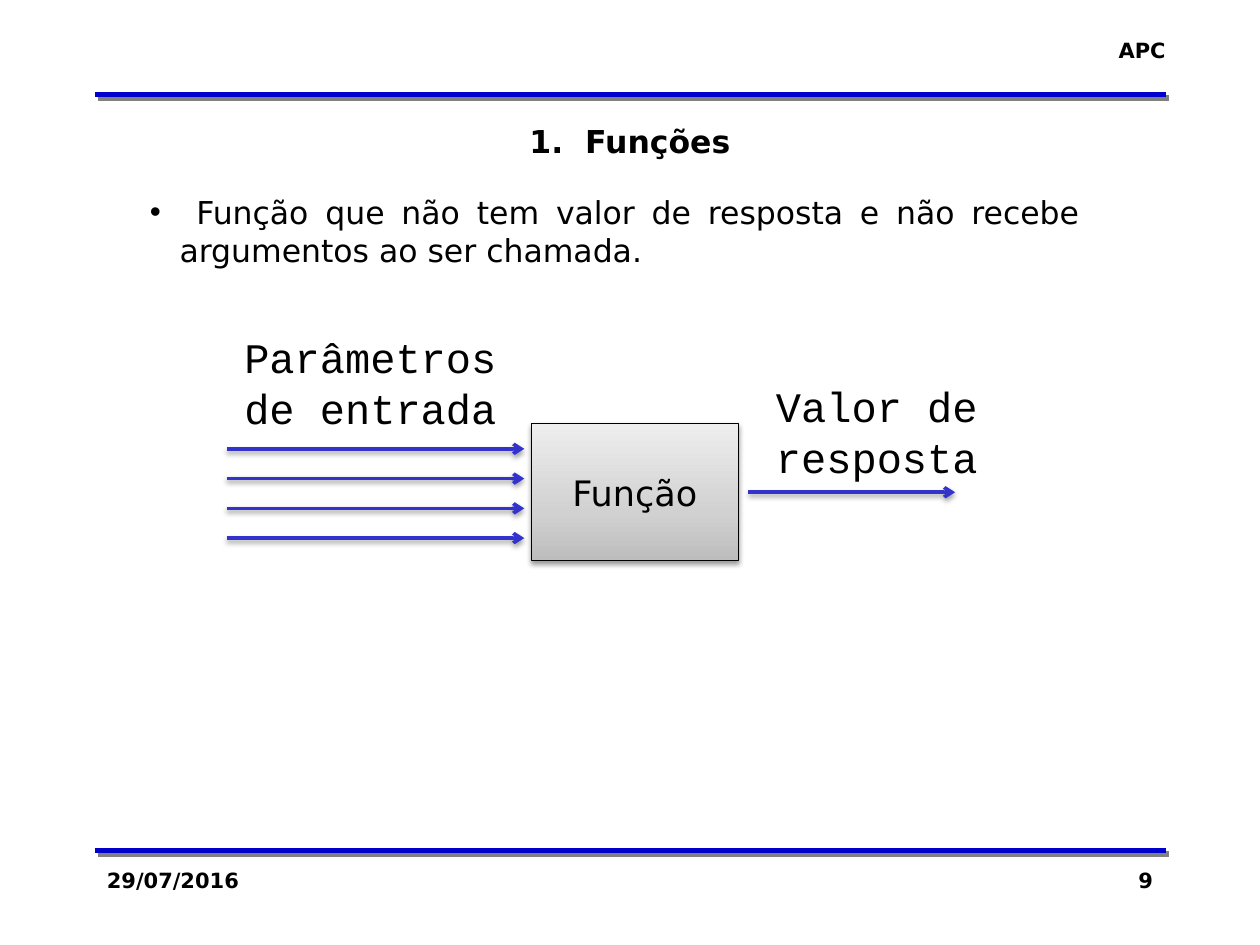
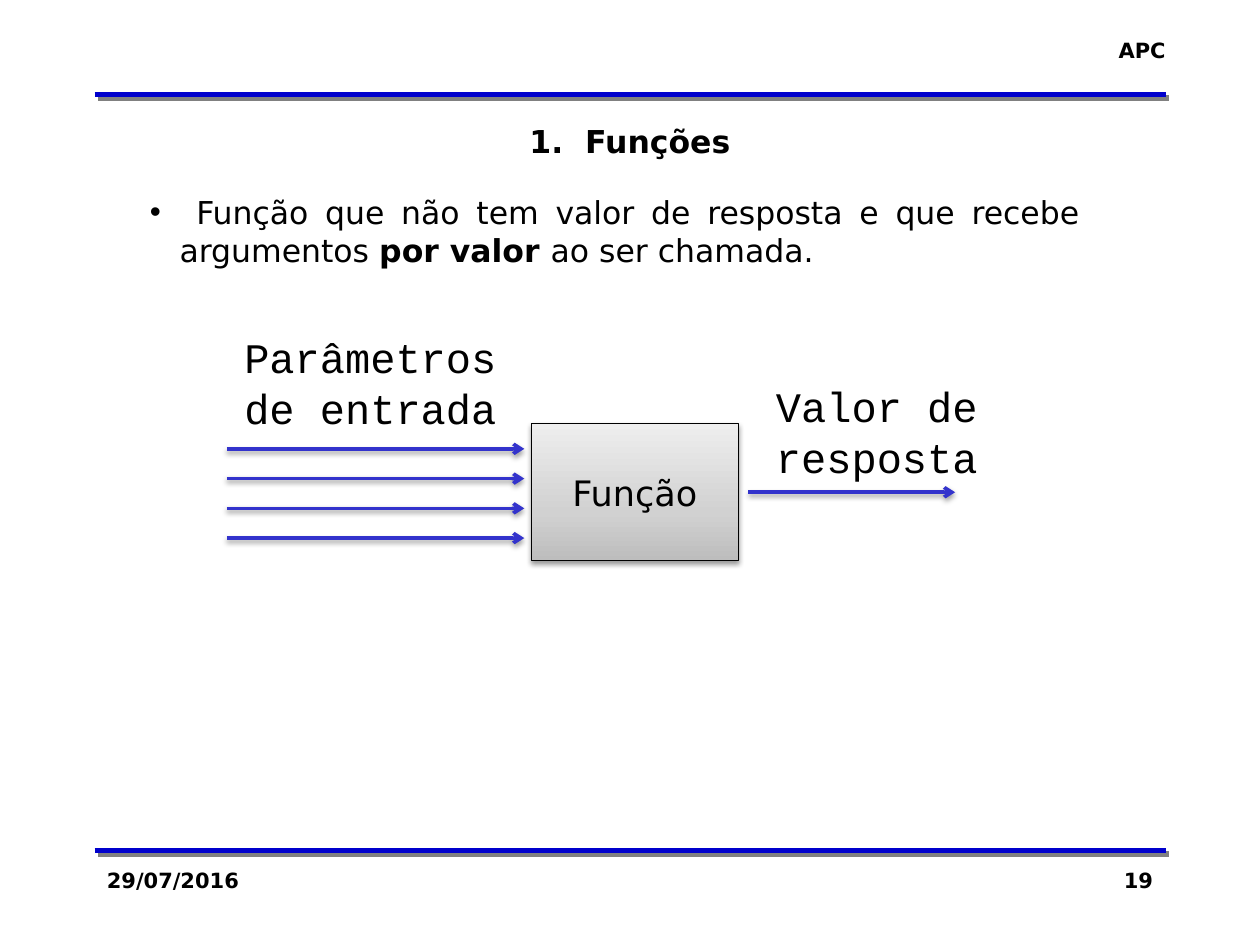
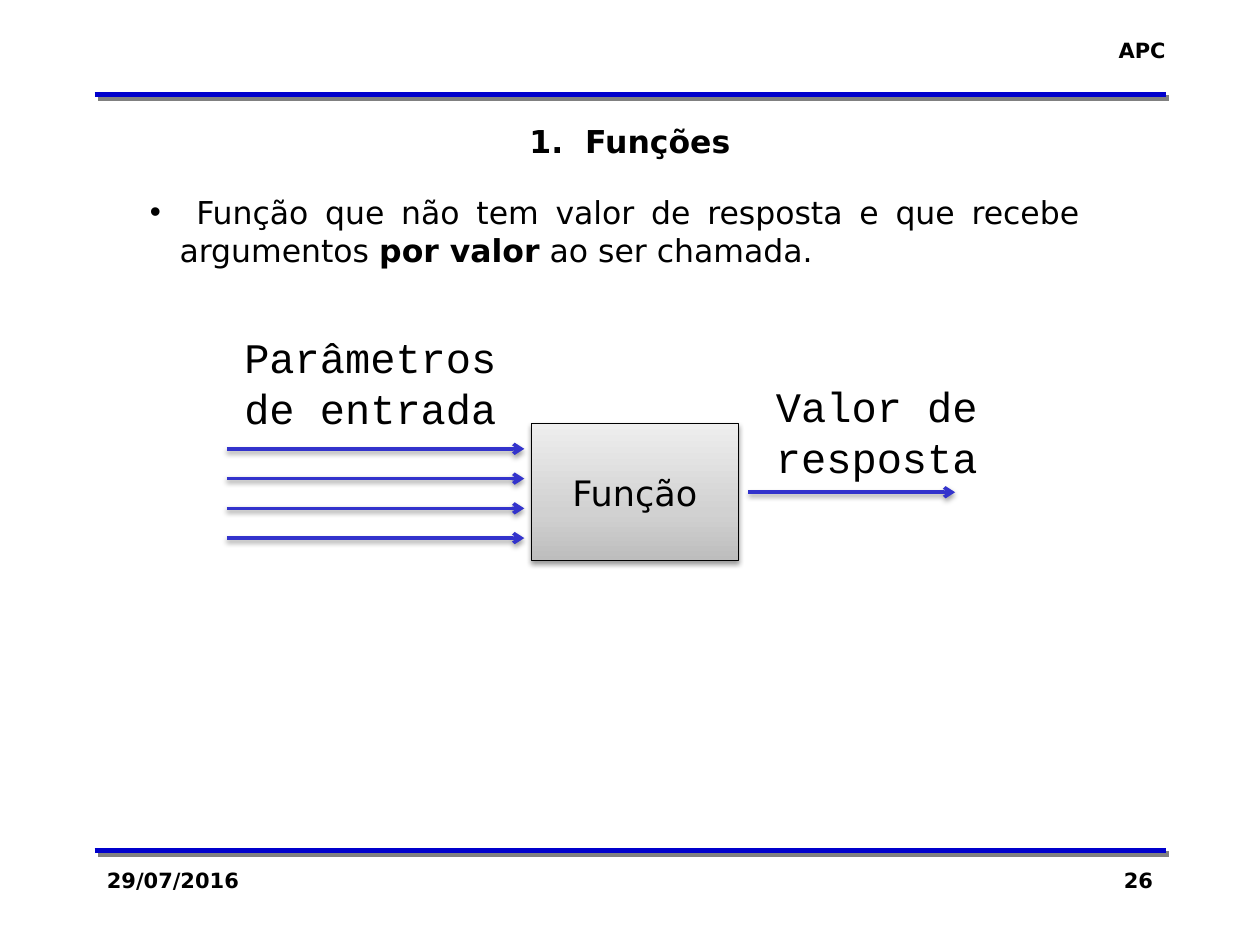
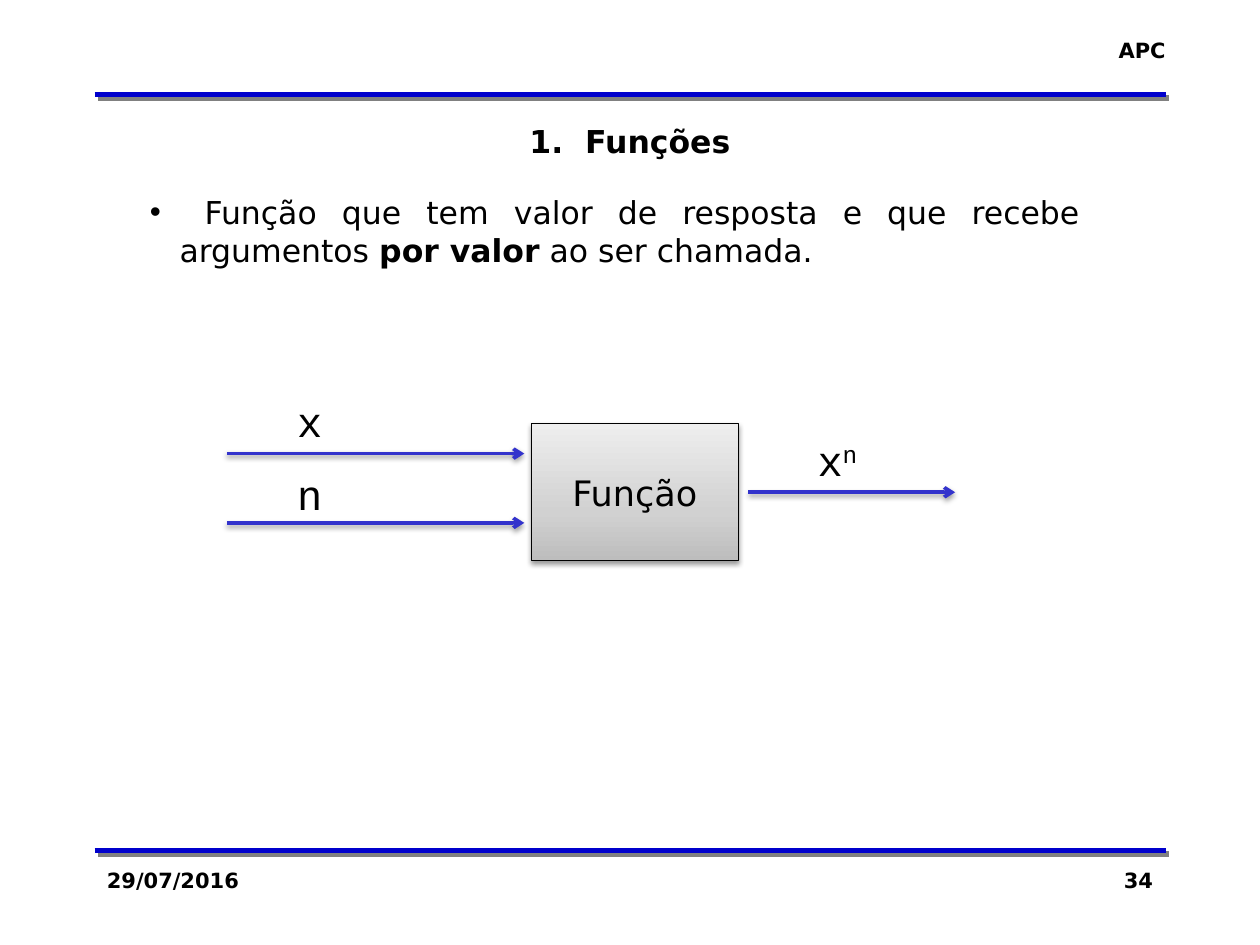
from lxml import etree
from copy import deepcopy
from pptx import Presentation
from pptx.dml.color import RGBColor
from pptx.enum.shapes import MSO_CONNECTOR, MSO_SHAPE
from pptx.enum.text import MSO_ANCHOR, MSO_AUTO_SIZE, PP_ALIGN
from pptx.oxml.ns import qn
from pptx.util import Pt

STRAIGHT = MSO_CONNECTOR.STRAIGHT
RECTANGLE = MSO_SHAPE.RECTANGLE
TOP, MIDDLE = MSO_ANCHOR.TOP, MSO_ANCHOR.MIDDLE
GROW, FIXED = MSO_AUTO_SIZE.SHAPE_TO_FIT_TEXT, MSO_AUTO_SIZE.NONE
LEFT, CENTER, RIGHT, JUSTIFY = (
    PP_ALIGN.LEFT, PP_ALIGN.CENTER, PP_ALIGN.RIGHT, PP_ALIGN.JUSTIFY)

BLACK, RULE_BLUE, ARROW_BLUE = "000000", "0000CC", "3333CC"
BOX_GRADIENT = [(0, "BDBDBD"), (0.35, "D1D1D1"), (1, "EEEEEE")]

# Shadows: colour, opacity in percent, blur, distance, direction in degrees
RULE_SHADOW = ("808080", 100, 0, 2.8, 45)
DIAGRAM_SHADOW = (BLACK, 38, 3.1, 1.6, 90)

# Text formats
SMALL = {"name": "DejaVu Sans", "size": Pt(12), "bold": True}
TITLE = {"name": "DejaVu Sans", "size": Pt(18), "bold": True}
BODY = {"name": "DejaVu Sans", "size": Pt(18), "bold": False}
BOX = {"name": "DejaVu Sans", "size": Pt(20), "bold": False}
LABEL = {"name": "Courier New", "size": Pt(24), "bold": False}

# Areas: left, top, width, height
SLIDE = (0, 0, 720, 540)
RULE_LEFT, RULE_RIGHT = 54, 666
DIAGRAM = (129.6, 186, 452, 134.5)
DEFINITION = (78.5, 106.6, 545.8, 94.3)

FOUR_ARROWS = [70.5 + 17 * row for row in range(4)]
TWO_ARROWS = [73.2, 112.8]

# Labels: place within the diagram, paragraphs of (text, raised) runs
NAMED_LABELS = [
    ((2.9, 0, 159.8, 65.4), [[("Parâmetros", False)], [("de entrada", False)]]),
    ((306.7, 28, 145.4, 65.4), [[("Valor de", False)], [("resposta", False)]]),
]
POWER_LABELS = [
    ((33.1, 36.5, 28.8, 36.4), [[("x", False)]]),
    ((33.1, 78.2, 28.8, 36.4), [[("n", False)]]),
    ((330.5, 58.8, 38.9, 36.4), [[("x", False), ("n", True)]]),
]

# Slides: number, definition as (text, bold) runs, input arrows, labels
BY_VALUE = [("por valor", True), (" ao ser chamada.", False)]
NO_RESULT = " Função que não tem valor de resposta e que recebe argumentos "
PAGES = [
    (9, [(" Função que não tem valor de resposta e não recebe argumentos "
          "ao ser chamada.", False)], FOUR_ARROWS, NAMED_LABELS),
    (19, [(NO_RESULT, False), ("por valor ", True), ("ao ser chamada.", False)],
     FOUR_ARROWS, NAMED_LABELS),
    (26, [(NO_RESULT, False)] + BY_VALUE, FOUR_ARROWS, NAMED_LABELS),
    (34, [(" Função que tem valor de resposta e que recebe argumentos ", False)]
     + BY_VALUE, TWO_ARROWS, POWER_LABELS),
]


def rgb(value):
    return RGBColor.from_string(value)


def points(*lengths):
    return [Pt(length) for length in lengths]


def inside(area, place):
    """Move a place from coordinates within an area to the slide."""
    return (area[0] + place[0], area[1] + place[1], *place[2:])


def set_font(font, style):
    for attribute, value in style.items():
        setattr(font, attribute, value)
    font.color.rgb = rgb(BLACK)


def add_run(paragraph, text, style):
    run = paragraph.add_run()
    run.text = text
    set_font(run.font, style)
    return run


def set_frame(frame, **settings):
    for attribute, value in settings.items():
        setattr(frame, attribute, value)


def add_text(slide, place, text, style, align=LEFT, wrap=True, fit=FIXED):
    frame = slide.shapes.add_textbox(*points(*place)).text_frame
    set_frame(frame, word_wrap=wrap, auto_size=fit, vertical_anchor=TOP)
    paragraph = frame.paragraphs[0]
    paragraph.alignment = align
    add_run(paragraph, text, style)


def add_shadow(part, shadow):
    color, opacity, blur, distance, direction = shadow
    properties = part._element.spPr
    for old in properties.findall(qn("a:effectLst")):
        properties.remove(old)
    effects = etree.SubElement(properties, qn("a:effectLst"))
    outer = etree.SubElement(
        effects, qn("a:outerShdw"), blurRad=str(Pt(blur)), dist=str(Pt(distance)),
        dir=str(direction * 60000), algn="ctr", rotWithShape="0")
    tint = etree.SubElement(outer, qn("a:srgbClr"), val=color)
    etree.SubElement(tint, qn("a:alpha"), val=str(opacity * 1000))


def add_line(slide, start, end, y, color, width, shadow, arrow=False):
    line = slide.shapes.add_connector(STRAIGHT, *points(start, y, end, y))
    line.line.color.rgb = rgb(color)
    line.line.width = Pt(width)
    if arrow:
        etree.SubElement(line.line._get_or_add_ln(), qn("a:tailEnd"), type="arrow")
    add_shadow(line, shadow)


def add_page_frame(slide, area, number):
    # Rules above and below the content
    for y in (486, 54):
        add_line(slide, area[0] + RULE_LEFT, area[0] + RULE_RIGHT, area[1] + y,
                 RULE_BLUE, 3, RULE_SHADOW)
    # Course, date, page number and title
    add_text(slide, inside(area, (631.4, 18, 41.8, 21.6)), "APC", SMALL, RIGHT,
             wrap=False, fit=GROW)
    add_text(slide, inside(area, (54, 492, 150, 36)), "29/07/2016", SMALL)
    add_text(slide, inside(area, (516, 492, 150, 36)), str(number), SMALL, RIGHT)
    add_text(slide, inside(area, (54, 66, 612, 29)), "1.  Funções", TITLE, CENTER,
             fit=GROW)


def add_function_box(slide, place):
    box = slide.shapes.add_shape(RECTANGLE, *points(*place))
    # Gradient from dark at the bottom to light at the top
    box.fill.gradient()
    stop_list = box._element.spPr.find(qn("a:gradFill")).find(qn("a:gsLst"))
    stop_list.append(deepcopy(stop_list[0]))
    for stop, (position, color) in zip(box.fill.gradient_stops, BOX_GRADIENT):
        stop.position = position
        stop.color.rgb = rgb(color)
    box.fill.gradient_angle = 90
    box.line.color.rgb = rgb(BLACK)
    box.line.width = Pt(0.75)
    add_shadow(box, DIAGRAM_SHADOW)
    # Caption
    frame = box.text_frame
    set_frame(frame, word_wrap=False, vertical_anchor=MIDDLE)
    caption = frame.paragraphs[0]
    caption.alignment = CENTER
    add_run(caption, "Função", BOX)


def add_label(slide, place, lines):
    frame = slide.shapes.add_textbox(*points(*place)).text_frame
    set_frame(frame, word_wrap=False, auto_size=GROW)
    for index, runs in enumerate(lines):
        paragraph = frame.add_paragraph() if index else frame.paragraphs[0]
        for text, raised in runs:
            run = add_run(paragraph, text, LABEL)
            if raised:
                run.font._element.set("baseline", "30000")


def add_diagram(slide, area, input_rows, labels):
    left, top = area[:2]
    add_function_box(slide, inside(area, (174.2, 55.9, 118.1, 78.5)))
    # Arrows into and out of the function
    arrows = [(0, 170, y) for y in input_rows] + [(298, 416.2, 95.3)]
    for start, end, y in arrows:
        add_line(slide, left + start, left + end, top + y, ARROW_BLUE, 2,
                 DIAGRAM_SHADOW, arrow=True)
    for place, lines in labels:
        add_label(slide, inside(area, place), lines)


def add_definition(slide, area, runs):
    frame = slide.shapes.add_textbox(*points(*area)).text_frame
    set_frame(frame, word_wrap=True, auto_size=FIXED)
    paragraph = frame.paragraphs[0]
    paragraph.alignment = JUSTIFY
    # Bullet with a hanging indent
    properties = paragraph._p.get_or_add_pPr()
    properties.set("marL", str(Pt(17)))
    properties.set("indent", str(-Pt(17)))
    etree.SubElement(properties, qn("a:buFont"), typeface="Arial")
    etree.SubElement(properties, qn("a:buChar"), char="•")
    for text, bold in runs:
        add_run(paragraph, text, BODY | {"bold": bold})


def main():
    deck = Presentation()
    deck.slide_width, deck.slide_height = points(*SLIDE[2:])
    blank = deck.slide_layouts[6]
    for number, definition, input_rows, labels in PAGES:
        slide = deck.slides.add_slide(blank)
        add_page_frame(slide, SLIDE, number)
        add_diagram(slide, DIAGRAM, input_rows, labels)
        add_definition(slide, DEFINITION, definition)
    deck.save("out.pptx")


if __name__ == "__main__":
    main()
